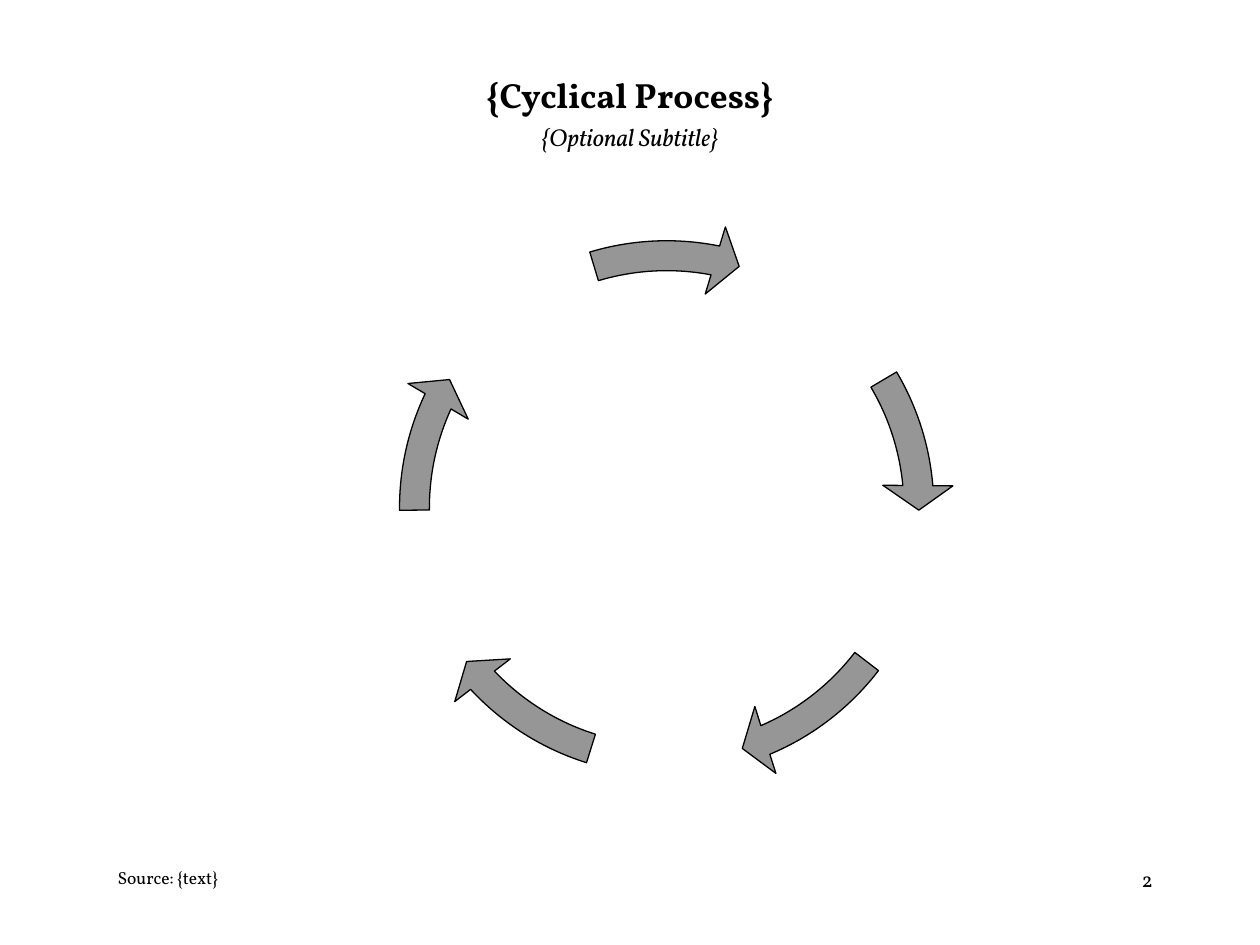
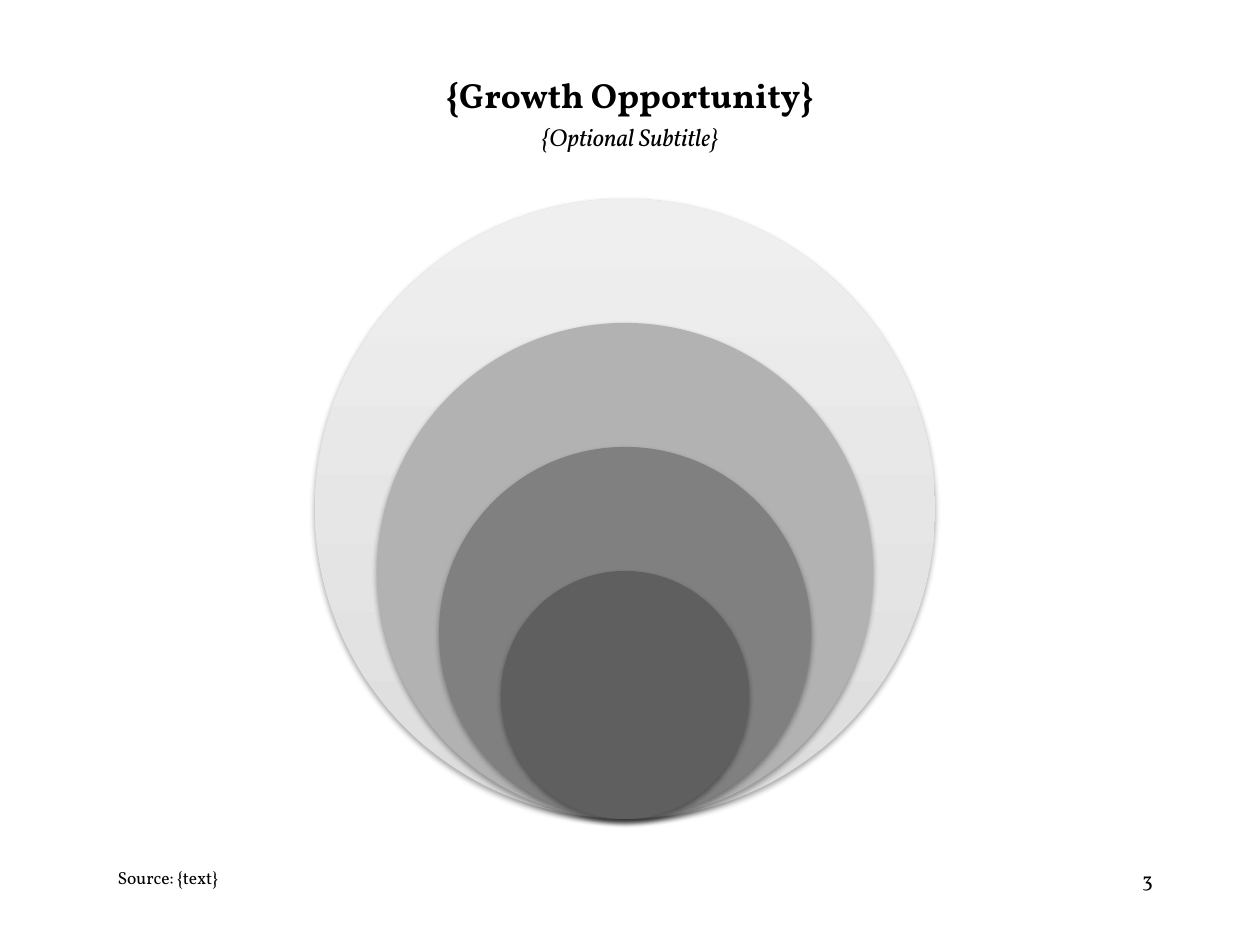
"""Build a cycle slide and a growth slide that share one frame."""
import dataclasses
import pptx
import pptx.dml.color
import pptx.enum.shapes
import pptx.enum.text
import pptx.util
from lxml import etree

Cm = pptx.util.Cm
Pt = pptx.util.Pt
Kind = pptx.enum.shapes.MSO_SHAPE
Side = pptx.enum.text.PP_ALIGN
Hold = pptx.enum.text.MSO_ANCHOR


@dataclasses.dataclass(frozen=True)
class Theme:
    font: str = "Vollkorn"
    ink: str = "000000"
    arrow: str = "969696"
    title: int = 20
    sub: int = 14
    page: int = 12
    note: int = 10
    line: float = 0.75


LOOK = Theme()
SUB = "{Optional Subtitle}"
NOTE = "Source: {text}"
CYCLE = {"title": "{Cyclical Process}", "page": "2"}
GROWTH = {"title": "{Growth Opportunity}", "page": "3"}

RING = (7.65, 4.45, 11.58)
ARCS = [(329.41, 354.92), (37.52, 66.95), (107.46, 136.89),
        (179.49, 205), (253.28, 281.13)]
BAND, HEAD, FLARE = 0.052, 3.354, 0.061

MID, BASE, WIDE = 12.6, 16.51, 12.5
DISCS = [("DDDDDD", "EFEFEF"), ("B2B2B2",), ("808080",), ("5F5F5F",)]
STEP = 0.2


def tint(code):
    return pptx.dml.color.RGBColor.from_string(code)


def write(slide, text, box, size, side=Side.LEFT, hold=Hold.TOP,
          bold=False, slant=False):
    frame = slide.shapes.add_textbox(*map(Cm, box)).text_frame
    frame.word_wrap = True
    frame.vertical_anchor = hold
    frame.text = text
    para = frame.paragraphs[0]
    para.alignment = side
    font = para.runs[0].font
    font.name, font.size = LOOK.font, Pt(size)
    font.bold, font.italic = bold, slant
    font.color.rgb = tint(LOOK.ink)


def start(deck, info):
    slide = deck.slides.add_slide(deck.slide_layouts[6])
    write(slide, info["page"], (18.21, 17.35, 5.28, 1.27), LOOK.page, Side.RIGHT)
    write(slide, info["title"], (1.9, 1.27, 21.6, 1.27), LOOK.title,
          Side.CENTER, Hold.MIDDLE, bold=True)
    write(slide, SUB, (1.9, 2.33, 21.6, 0.84), LOOK.sub, Side.CENTER, slant=True)
    write(slide, NOTE, (2.12, 17.35, 19.05, 0.69), LOOK.note)
    return slide


def shade(shape):
    space = pptx.oxml.ns.nsdecls("a")
    drop = etree.fromstring(
        f'<a:outerShdw {space} blurRad="{Pt(3.1)}" dist="{Pt(1.8)}" dir="5400000" '
        f'rotWithShape="0"><a:srgbClr val="{LOOK.ink}"><a:alpha val="35000"/>'
        '</a:srgbClr></a:outerShdw>')
    shape._element.spPr.find(pptx.oxml.ns.qn("a:effectLst")).append(drop)


def draw_cycle(slide):
    group = slide.shapes.add_group_shape()
    left, top, size = map(Cm, RING)
    for tail, tip in ARCS:
        arc = group.shapes.add_shape(Kind.CIRCULAR_ARROW, left, top, size, size)
        arc.shadow.inherit = False
        for spot, value in enumerate((BAND, HEAD, tip * 0.6, tail * 0.6, FLARE)):
            arc.adjustments[spot] = value
        arc.fill.solid()
        arc.fill.fore_color.rgb = tint(LOOK.arrow)
        arc.line.color.rgb = tint(LOOK.ink)
        arc.line.width = Pt(LOOK.line)


def draw_growth(slide):
    group = slide.shapes.add_group_shape()
    for rank, tones in enumerate(DISCS):
        size = WIDE * (1 - STEP * rank)
        disc = group.shapes.add_shape(
            Kind.OVAL, Cm(MID - size / 2), Cm(BASE - size), Cm(size), Cm(size))
        disc.shadow.inherit = False
        disc.line.fill.background()
        if len(tones) > 1:
            disc.fill.gradient()
            disc.fill.gradient_angle = 90
            for stop, tone in zip(disc.fill.gradient_stops, tones):
                stop.color.rgb = tint(tone)
        else:
            disc.fill.solid()
            disc.fill.fore_color.rgb = tint(tones[0])
        shade(disc)


def main():
    deck = pptx.Presentation()
    deck.slide_width, deck.slide_height = Cm(25.4), Cm(19.05)
    draw_cycle(start(deck, CYCLE))
    draw_growth(start(deck, GROWTH))
    deck.save("out.pptx")


if __name__ == "__main__":
    main()
